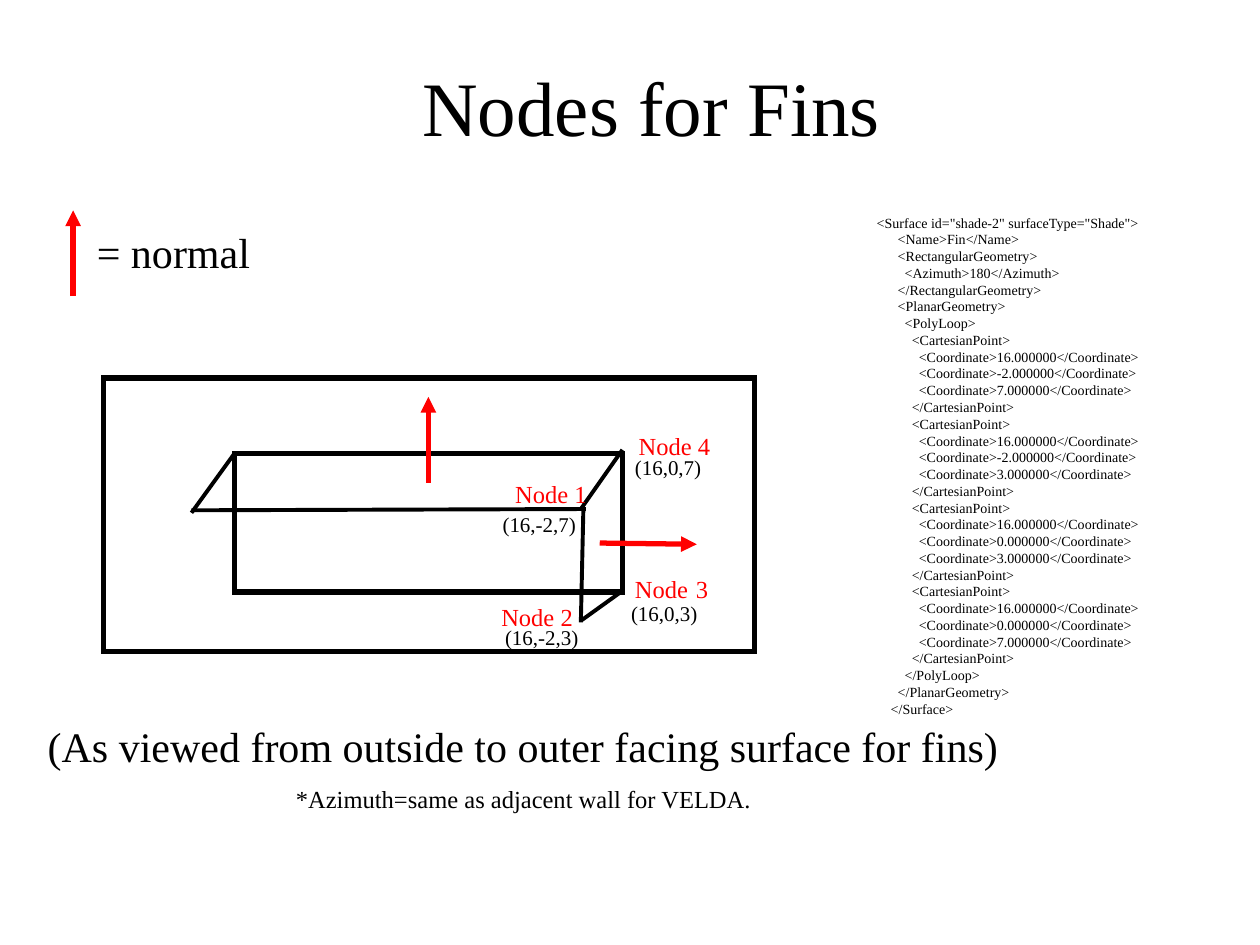
from dataclasses import dataclass

import lxml.etree
import pptx
import pptx.dml.color
import pptx.enum.dml
import pptx.enum.shapes
import pptx.enum.text
import pptx.oxml.ns
import pptx.shapes.base
import pptx.slide
import pptx.text.text
import pptx.util
from pptx.util import Inches


@dataclass(frozen=True)
class Theme:
    font: str = "Times New Roman"
    ink: str = "000000"
    accent: str = "FF0000"
    title: float = 44
    body: float = 24
    space: float = 18
    node: float = 14
    point: float = 12
    code: float = 8
    heavy: float = 3
    medium: float = 2.25


THEME = Theme()


@dataclass(frozen=True)
class Piece:
    text: str
    size: float
    color: str = THEME.ink


@dataclass(frozen=True)
class Label:
    left: float
    top: float
    width: float
    height: float
    pieces: tuple[Piece, ...]
    space_before: float = 0


@dataclass(frozen=True)
class Line:
    start: tuple[float, float]
    end: tuple[float, float]
    arrow: bool = False


@dataclass(frozen=True)
class Frame:
    left: float
    top: float
    width: float
    height: float


@dataclass(frozen=True)
class CodeLine:
    spaces: int
    text: str


def node_label(left: float, top: float, width: float, name: str) -> Label:
    return Label(left, top, width, 0.34, (Piece(name, THEME.node, THEME.accent),), 8.8)


def point_label(left: float, top: float, coordinates: str) -> Label:
    return Label(left, top, 1.25, 0.3, (Piece(coordinates, THEME.point),), 7.5)


WALL = Frame(0.82, 3, 5.17, 2.17)
WINDOW = Frame(1.86, 3.6, 3.08, 1.1)

NODE_THREE = (
    Piece("Node", THEME.node, THEME.accent),
    Piece(" ", THEME.space),
    Piece("3", THEME.node, THEME.accent),
)

LABELS = (
    node_label(3.88, 4.73, 2.08, "Node 2"),
    Label(4.94, 4.45, 2.08, 0.4, NODE_THREE, 8.8),
    node_label(4.97, 3.37, 2.08, "Node 4"),
    node_label(3.99, 3.75, 1.25, "Node 1"),
    Label(0.28, 5.67, 9.67, 0.5,
          (Piece("(As viewed from outside to outer facing surface for fins)", THEME.body),)),
    Label(0.67, 1.75, 1.58, 0.5, (Piece("= normal", THEME.body),)),
    Label(2.25, 6.17, 5.33, 0.34,
          (Piece("*Azimuth=same as adjacent wall for VELDA.", THEME.node),)),
    point_label(4.91, 4.72, "(16,0,3)"),
    point_label(4.94, 3.56, "(16,0,7)"),
    point_label(3.91, 4.91, "(16,-2,3)"),
    point_label(3.89, 4.01, "(16,-2,7)"),
)

LINES = (
    Line((1.86, 3.6), (1.52, 4.07)),
    Line((4.94, 3.57), (4.61, 4.04)),
    Line((4.65, 4.04), (1.52, 4.05)),
    Line((4.63, 4.04), (4.61, 4.94)),
    Line((4.94, 4.69), (4.62, 4.92)),
    Line((3.4, 3.83), (3.4, 3.15), True),
    Line((0.58, 2.35), (0.58, 1.67), True),
    Line((4.76, 4.31), (5.53, 4.32), True),
)

FIN_POINTS = ((16, -2, 7), (16, -2, 3), (16, 0, 3), (16, 0, 7))


def surface_listing() -> list[CodeLine]:
    lines = [
        CodeLine(0, '<Surface id="shade-2" surfaceType="Shade">'),
        CodeLine(6, "<Name>Fin</Name>"),
        CodeLine(6, "<RectangularGeometry>"),
        CodeLine(8, "<Azimuth>180</Azimuth>"),
        CodeLine(6, "</RectangularGeometry>"),
        CodeLine(6, "<PlanarGeometry>"),
        CodeLine(8, "<PolyLoop>"),
    ]
    for point in FIN_POINTS:
        lines.append(CodeLine(10, "<CartesianPoint>"))
        lines += [CodeLine(12, f"<Coordinate>{value:.6f}</Coordinate>") for value in point]
        lines.append(CodeLine(10, "</CartesianPoint>"))
    return lines + [
        CodeLine(8, "</PolyLoop>"),
        CodeLine(6, "</PlanarGeometry>"),
        CodeLine(4, "</Surface>"),
    ]


def add_piece(paragraph: pptx.text.text._Paragraph, piece: Piece) -> None:
    run = paragraph.add_run()
    run.text = piece.text
    run.font.name = THEME.font
    run.font.size = pptx.util.Pt(piece.size)
    run.font.color.rgb = pptx.dml.color.RGBColor.from_string(piece.color)


def add_text_frame(slide: pptx.slide.Slide, left: float, top: float, width: float,
                   height: float) -> pptx.text.text.TextFrame:
    shape = slide.shapes.add_textbox(Inches(left), Inches(top), Inches(width), Inches(height))
    shape.text_frame.word_wrap = True
    shape.text_frame.auto_size = pptx.enum.text.MSO_AUTO_SIZE.SHAPE_TO_FIT_TEXT
    return shape.text_frame


def add_label(slide: pptx.slide.Slide, label: Label) -> None:
    text_frame = add_text_frame(slide, label.left, label.top, label.width, label.height)
    paragraph = text_frame.paragraphs[0]
    paragraph.space_before = pptx.util.Pt(label.space_before)
    for piece in label.pieces:
        add_piece(paragraph, piece)


def add_listing(slide: pptx.slide.Slide, lines: list[CodeLine]) -> None:
    text_frame = add_text_frame(slide, 6.86, 1.65, 2.58, 4.09)
    space_width = pptx.util.Pt(THEME.code / 4)
    for index, line in enumerate(lines):
        paragraph = text_frame.add_paragraph() if index else text_frame.paragraphs[0]
        properties = paragraph._p.get_or_add_pPr()
        properties.set("marL", str(line.spaces * space_width))
        properties.set("indent", "0")
        add_piece(paragraph, Piece(line.text, THEME.code))


def add_frame(slide: pptx.slide.Slide, frame: Frame) -> None:
    shape = slide.shapes.add_shape(
        pptx.enum.shapes.MSO_SHAPE.RECTANGLE, Inches(frame.left), Inches(frame.top),
        Inches(frame.width), Inches(frame.height))
    shape.shadow.inherit = False
    shape.fill.background()
    shape.line.color.rgb = pptx.dml.color.RGBColor.from_string(THEME.ink)
    shape.line.width = pptx.util.Pt(THEME.heavy)
    outline = shape._element.spPr.find(pptx.oxml.ns.qn("a:ln"))
    lxml.etree.SubElement(outline, pptx.oxml.ns.qn("a:miter"), lim="800000")


def add_line(slide: pptx.slide.Slide, line: Line) -> None:
    connector = slide.shapes.add_connector(
        pptx.enum.shapes.MSO_CONNECTOR.STRAIGHT, *map(Inches, line.start + line.end))
    color = THEME.accent if line.arrow else THEME.ink
    connector.line.color.rgb = pptx.dml.color.RGBColor.from_string(color)
    connector.line.width = pptx.util.Pt(THEME.heavy if line.arrow else THEME.medium)
    properties = connector._element.spPr
    if line.arrow:
        outline = properties.find(pptx.oxml.ns.qn("a:ln"))
        lxml.etree.SubElement(outline, pptx.oxml.ns.qn("a:tailEnd"), type="triangle")
    lxml.etree.SubElement(properties, pptx.oxml.ns.qn("a:effectLst"))


def add_title(slide: pptx.slide.Slide) -> None:
    title = slide.shapes.title
    title.left, title.top = Inches(-0.58), Inches(0.58)
    title.width, title.height = Inches(11.5), Inches(1.25)
    title.text_frame.auto_size = pptx.enum.text.MSO_AUTO_SIZE.NONE
    title.text_frame.vertical_anchor = pptx.enum.text.MSO_ANCHOR.MIDDLE
    paragraph = title.text_frame.paragraphs[0]
    paragraph.alignment = pptx.enum.text.PP_ALIGN.CENTER
    paragraph.font.size = pptx.util.Pt(THEME.title)
    add_piece(paragraph, Piece("Nodes for Fins", THEME.title))
    paragraph.add_line_break()


def main() -> None:
    presentation = pptx.Presentation()
    presentation.slide_width, presentation.slide_height = Inches(10), Inches(7.5)
    slide = presentation.slides.add_slide(presentation.slide_layouts[5])
    add_title(slide)
    for frame in (WALL, WINDOW):
        add_frame(slide, frame)
    for line in LINES:
        add_line(slide, line)
    for label in LABELS:
        add_label(slide, label)
    add_listing(slide, surface_listing())
    presentation.save("out.pptx")


if __name__ == "__main__":
    main()
